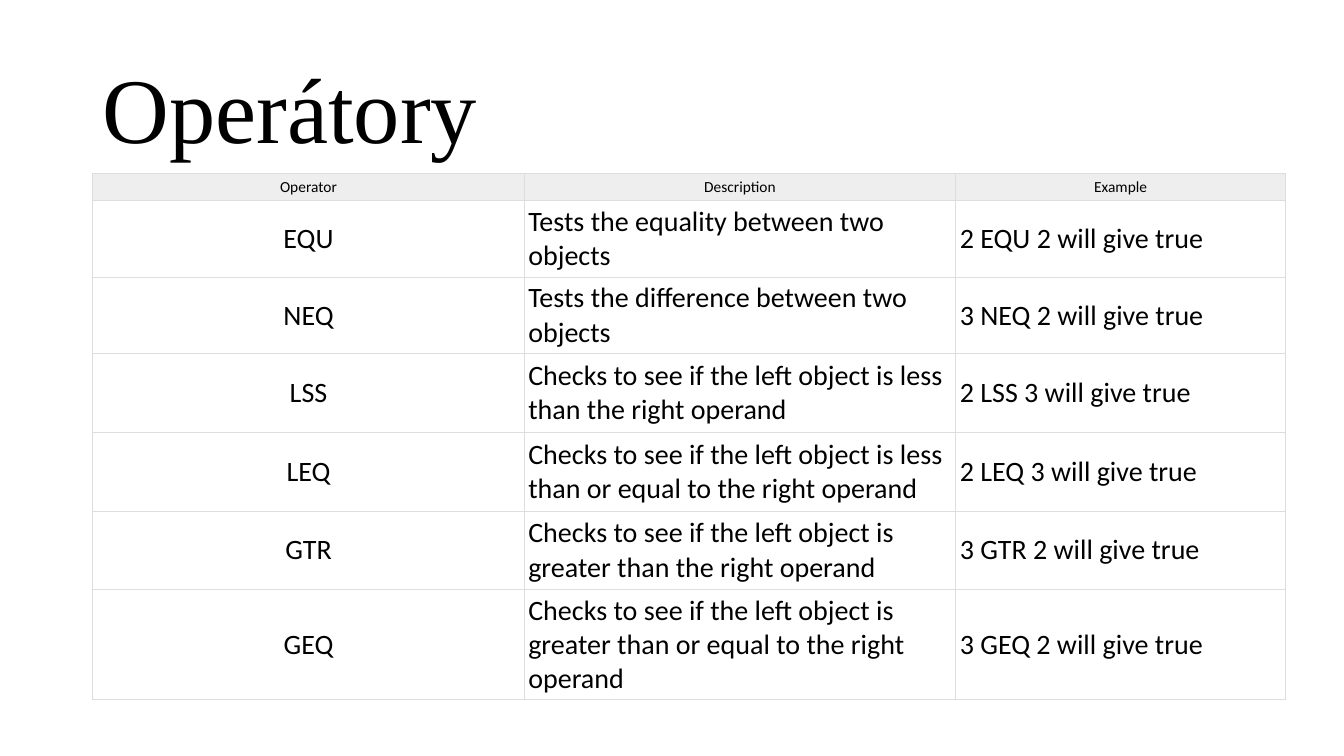
from lxml import etree
from pptx import Presentation
from pptx.dml.color import RGBColor
from pptx.enum.text import MSO_ANCHOR, PP_ALIGN
from pptx.oxml.ns import qn
from pptx.util import Inches, Pt

CENTER, LEFT = PP_ALIGN.CENTER, PP_ALIGN.LEFT
TOP, MIDDLE = MSO_ANCHOR.TOP, MSO_ANCHOR.MIDDLE

BLACK = RGBColor(0x00, 0x00, 0x00)
WHITE = RGBColor(0xFF, 0xFF, 0xFF)
HEADER_GREY = RGBColor(0xEE, 0xEE, 0xEE)
BORDER_GREY = RGBColor(0xDD, 0xDD, 0xDD)

HEADINGS = ("Operator", "Description", "Example")
OPERATORS = (
    ("EQU", "Tests the equality between two objects", "2 EQU 2 will give true"),
    ("NEQ", "Tests the difference between two objects", "3 NEQ 2 will give true"),
    ("LSS", "Checks to see if the left object is less than the right operand",
     "2 LSS 3 will give true"),
    ("LEQ", "Checks to see if the left object is less than or equal to the right operand",
     "2 LEQ 3 will give true"),
    ("GTR", "Checks to see if the left object is greater than the right operand",
     "3 GTR 2 will give true"),
    ("GEQ", "Checks to see if the left object is greater than or equal to the right operand",
     "3 GEQ 2 will give true"),
)
COLUMN_WIDTHS = (4.28, 4.28, 3.27)
ROW_HEIGHTS = (0.27, 0.76, 0.76, 0.78, 0.78, 0.78, 1.09)


def apply(target, values):
    for name, value in values.items():
        setattr(target, name, value)


class SlideBuilder:
    title_font = {"name": "Times New Roman", "size": Pt(66)}
    header_font = {"name": "Calibri", "size": Pt(11), "bold": False}
    body_font = {"name": "Calibri", "size": Pt(20), "bold": False}
    cell_margins = {f"margin_{side}": Inches(0.04)
                    for side in ("left", "right", "top", "bottom")}
    border_width = Pt(0.6)

    def __init__(self, slide):
        self.slide = slide

    def styled_text(self, paragraph, text, font):
        paragraph.text = text
        apply(paragraph.runs[0].font, font)
        paragraph.runs[0].font.color.rgb = BLACK

    def title(self, text, left, top, width, height):
        box = self.slide.shapes.add_textbox(*map(Inches, (left, top, width, height)))
        apply(box.text_frame, {"word_wrap": True, "vertical_anchor": MIDDLE})
        paragraph = box.text_frame.paragraphs[0]
        paragraph.line_spacing = 0.9
        self.styled_text(paragraph, text, self.title_font)

    def borders(self, cell):
        properties = cell._tc.get_or_add_tcPr()
        for index, side in enumerate(("lnL", "lnR", "lnT", "lnB")):
            line = etree.Element(qn(f"a:{side}"), w=str(self.border_width))
            fill = etree.SubElement(line, qn("a:solidFill"))
            etree.SubElement(fill, qn("a:srgbClr"), val=str(BORDER_GREY))
            properties.insert(index, line)

    def cell(self, cell, text, is_header, align):
        apply(cell, self.cell_margins)
        cell.vertical_anchor = TOP if is_header else MIDDLE
        cell.fill.solid()
        cell.fill.fore_color.rgb = HEADER_GREY if is_header else WHITE
        self.borders(cell)
        paragraph = cell.text_frame.paragraphs[0]
        paragraph.alignment = align
        self.styled_text(paragraph, text, self.header_font if is_header else self.body_font)

    def table(self, rows, left, top, widths, heights):
        size = (left, top, sum(widths), sum(heights))
        table = self.slide.shapes.add_table(
            len(rows), len(widths), *map(Inches, size)).table
        table.horz_banding = False
        for column, width in zip(table.columns, widths):
            column.width = Inches(width)
        for row, height in zip(table.rows, heights):
            row.height = Inches(height)
        for r, texts in enumerate(rows):
            for c, text in enumerate(texts):
                align = CENTER if r == 0 or c == 0 else LEFT
                self.cell(table.cell(r, c), text, r == 0, align)


def main():
    presentation = Presentation()
    apply(presentation, {"slide_width": Inches(13.33), "slide_height": Inches(7.5)})
    builder = SlideBuilder(presentation.slides.add_slide(presentation.slide_layouts[6]))
    builder.title("Operátory", 0.92, 0.4, 11.5, 1.45)
    builder.table((HEADINGS, *OPERATORS), 0.92, 1.72, COLUMN_WIDTHS, ROW_HEIGHTS)
    presentation.save("out.pptx")


if __name__ == "__main__":
    main()
